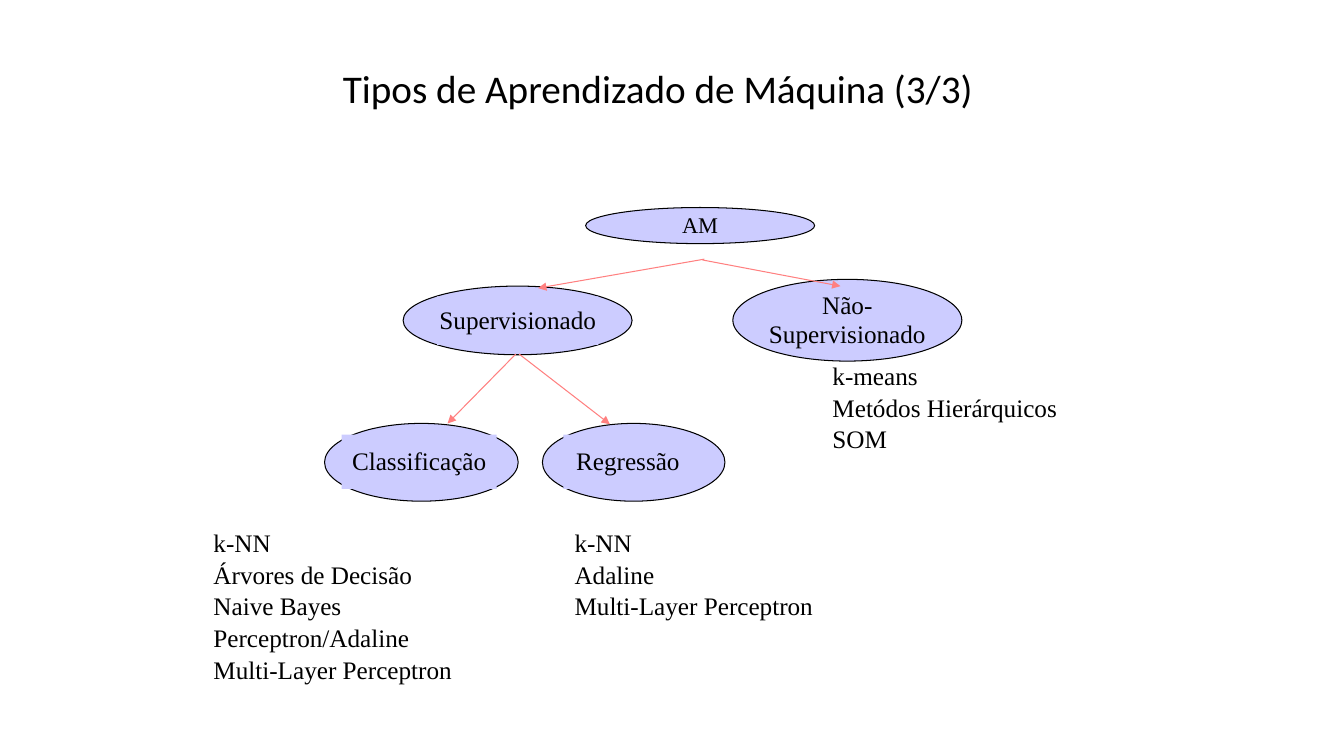
from lxml import etree
from pptx import Presentation
from pptx import util as u
from pptx.dml.color import RGBColor
from pptx.enum import shapes, text
from pptx.oxml.ns import qn

TITLE = "Tipos de Aprendizado de Máquina (3/3)"
TITLE_BOX = (6.1, 0.71, 21.69, 3.18)
SERIF = "Times New Roman"
BLACK, LILAC, CORAL = "000000", "CCCCFF", "FF8080"

NODES = [
    ("AM", 16, (14.76, 5.23, 5.77, 0.91), None),
    ("Supervisionado", 18, (10.16, 7.21, 5.77, 1.73), (11.02, 7.47, 4.06, 1.22)),
    ("Não-Supervisionado", 18, (18.47, 7.04, 5.77, 2.06), None),
    ("Classificação", 18, (8.18, 10.67, 4.88, 1.96), (8.61, 10.95, 3.91, 1.37)),
    ("Regressão", 18, (13.67, 10.67, 4.6, 1.96), (14.2, 10.95, 3.25, 1.37)),
]
ARROWS = [
    (17.75, 6.53, 13.56, 7.26),
    (17.7, 6.55, 21.18, 7.21),
    (13, 8.92, 11.28, 10.67),
    (13.08, 8.92, 15.37, 10.69),
]
METHODS = [
    ((5.38, 13.34), ["k-NN", "Árvores de Decisão", "Naive Bayes",
                     "Perceptron/Adaline", "Multi-Layer Perceptron"]),
    ((14.48, 13.34), ["k-NN", "Adaline", "Multi-Layer Perceptron"]),
    ((20.98, 9.14), ["k-means", "Metódos Hierárquicos", "SOM"]),
]
LIST_WIDTH, LINE_HEIGHT = 6.1, 0.76


def color(value):
    return RGBColor.from_string(value)


def lengths(values):
    return [u.Cm(value) for value in values]


def prepare_frame(frame, anchor):
    frame.word_wrap = True
    frame.vertical_anchor = anchor
    frame.margin_left = frame.margin_right = 0
    frame.margin_top = frame.margin_bottom = 0


def add_run(paragraph, words, size, font=SERIF):
    run = paragraph.add_run()
    run.text = words
    run.font.name = font
    run.font.size = u.Pt(size)
    run.font.color.rgb = color(BLACK)


def add_title(slide):
    title = slide.shapes.title
    title.left, title.top, title.width, title.height = lengths(TITLE_BOX)
    prepare_frame(title.text_frame, text.MSO_ANCHOR.MIDDLE)
    title.text_frame.margin_left = u.Cm(2.54)
    paragraph = title.text_frame.paragraphs[0]
    paragraph.alignment = text.PP_ALIGN.LEFT
    paragraph.line_spacing = u.Pt(28.1)
    add_run(paragraph, TITLE, 28, "Calibri")


def add_filled(slide, kind, box):
    shape = slide.shapes.add_shape(kind, *lengths(box))
    shape.shadow.inherit = False
    shape.fill.solid()
    shape.fill.fore_color.rgb = color(LILAC)
    return shape


def add_node(slide, label, size, box, label_box):
    holder = add_filled(slide, shapes.MSO_SHAPE.OVAL, box)
    holder.line.color.rgb = color(BLACK)
    holder.line.width = u.Pt(0.75)
    if label_box:
        holder = add_filled(slide, shapes.MSO_SHAPE.RECTANGLE, label_box)
        holder.line.fill.background()
    prepare_frame(holder.text_frame, text.MSO_ANCHOR.MIDDLE)
    paragraph = holder.text_frame.paragraphs[0]
    paragraph.alignment = text.PP_ALIGN.CENTER
    paragraph.line_spacing = 0.95
    add_run(paragraph, label, size)


def add_arrow(slide, ends):
    arrow = slide.shapes.add_connector(shapes.MSO_CONNECTOR.STRAIGHT, *lengths(ends))
    arrow.line.color.rgb = color(CORAL)
    arrow.line.width = u.Pt(0.75)
    etree.SubElement(arrow.line._get_or_add_ln(), qn("a:tailEnd"), type="triangle")
    etree.SubElement(arrow._element.spPr, qn("a:effectLst"))


def add_methods(slide, corner, names):
    box = (*corner, LIST_WIDTH, LINE_HEIGHT * len(names))
    frame = slide.shapes.add_textbox(*lengths(box)).text_frame
    prepare_frame(frame, text.MSO_ANCHOR.TOP)
    for index, name in enumerate(names):
        paragraph = frame.add_paragraph() if index else frame.paragraphs[0]
        paragraph.line_spacing = 0.95
        paragraph.space_before = u.Pt(2.1 if index else 0)
        add_run(paragraph, name, 18)


def main():
    presentation = Presentation()
    presentation.slide_width = u.Cm(33.87)
    presentation.slide_height = u.Cm(19.05)
    slide = presentation.slides.add_slide(presentation.slide_layouts[5])
    add_title(slide)
    for node in NODES:
        add_node(slide, *node)
    for ends in ARROWS:
        add_arrow(slide, ends)
    for corner, names in METHODS:
        add_methods(slide, corner, names)
    presentation.save("out.pptx")


if __name__ == "__main__":
    main()
